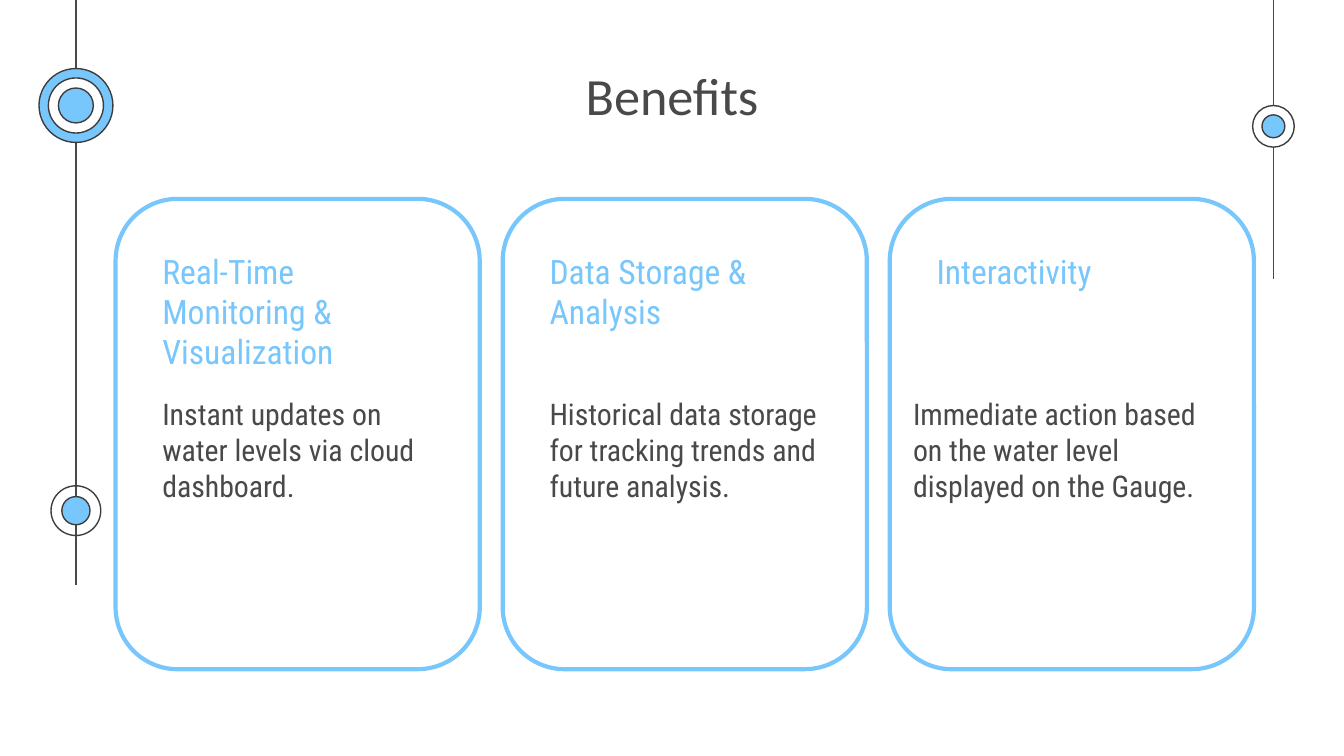
"""Build the Benefits slide with three outlined cards."""
from lxml.etree import SubElement
from pptx import Presentation
from pptx.dml.color import RGBColor
from pptx.enum.shapes import MSO_CONNECTOR, MSO_SHAPE
from pptx.enum.text import MSO_ANCHOR, PP_ALIGN
from pptx.oxml.ns import qn
from pptx.util import Pt

PX = 4572
BLUE, DARK, RIM, WHITE = "77C6FC", "494949", "3D3D3D", "FFFFFF"
BODY = "Roboto Condensed"


def paint(color, value):
    color.rgb = RGBColor.from_string(value)


def write(box, words, size, font, value, align=PP_ALIGN.LEFT):
    area = slide.shapes.add_textbox(*[n * PX for n in box])
    frame = area.text_frame
    frame.word_wrap = True
    frame.vertical_anchor = MSO_ANCHOR.TOP
    frame.margin_left = frame.margin_right = 20 * PX
    frame.margin_top = frame.margin_bottom = 20 * PX
    para = frame.paragraphs[0]
    para.alignment = align
    run = para.add_run()
    run.text = words
    run.font.size = Pt(size)
    run.font.name = font
    paint(run.font.color, value)


deck = Presentation()
deck.slide_width = 2000 * PX
deck.slide_height = 1125 * PX
slide = deck.slides.add_slide(deck.slide_layouts[6])
back = slide.background.fill
back.solid()
paint(back.fore_color, WHITE)

for x, end in [(113, 870), (1895, 415)]:
    line = slide.shapes.add_connector(
        MSO_CONNECTOR.STRAIGHT, x * PX, 0, x * PX, end * PX)
    paint(line.line.color, DARK)
    line.line.width = Pt(0.75)
    SubElement(line._element.spPr, qn("a:effectLst"))

rings = [
    (113, 760, 74, None), (113, 760, 42, BLUE),
    (1895, 188, 62, WHITE), (1895, 188, 34, BLUE),
    (113, 157, 110, BLUE), (113, 157, 82, WHITE), (113, 157, 52, BLUE),
]
for x, y, size, fill in rings:
    ring = slide.shapes.add_shape(
        MSO_SHAPE.OVAL, (x - size // 2) * PX, (y - size // 2) * PX,
        size * PX, size * PX)
    ring.shadow.inherit = False
    if fill:
        ring.fill.solid()
        paint(ring.fill.fore_color, fill)
    else:
        ring.fill.background()
    paint(ring.line.color, RIM)
    ring.line.width = Pt(0.75)

write((648, 74, 704, 126), "Benefits", 28, "Calibri", DARK, PP_ALIGN.CENTER)

cards = [
    ("Real-Time Monitoring & Visualization", 222, 456, 408,
     "Instant updates on water levels via cloud dashboard.", 222, 428, 408),
    ("Data Storage & Analysis", 798, 478, 210,
     "Historical data storage for tracking trends and future analysis.",
     798, 478, 292),
    ("Interactivity", 1374, 478, 172,
     "Immediate action based on the water level displayed on the Gauge.",
     1339, 478, 290),
]
for i, (head, hx, hw, hh, note, nx, nw, nh) in enumerate(cards):
    card = slide.shapes.add_shape(
        MSO_SHAPE.ROUNDED_RECTANGLE, (172 + 576 * i) * PX, 296 * PX,
        542 * PX, 700 * PX)
    card.shadow.inherit = False
    card.adjustments[0] = 0.17
    card.fill.background()
    paint(card.line.color, BLUE)
    card.line.width = Pt(2.25)
    write((hx, 353, hw, hh), head, 18, BODY, BLUE)
    write((nx, 569, nw, nh), note, 16, BODY, DARK)

deck.save("out.pptx")
